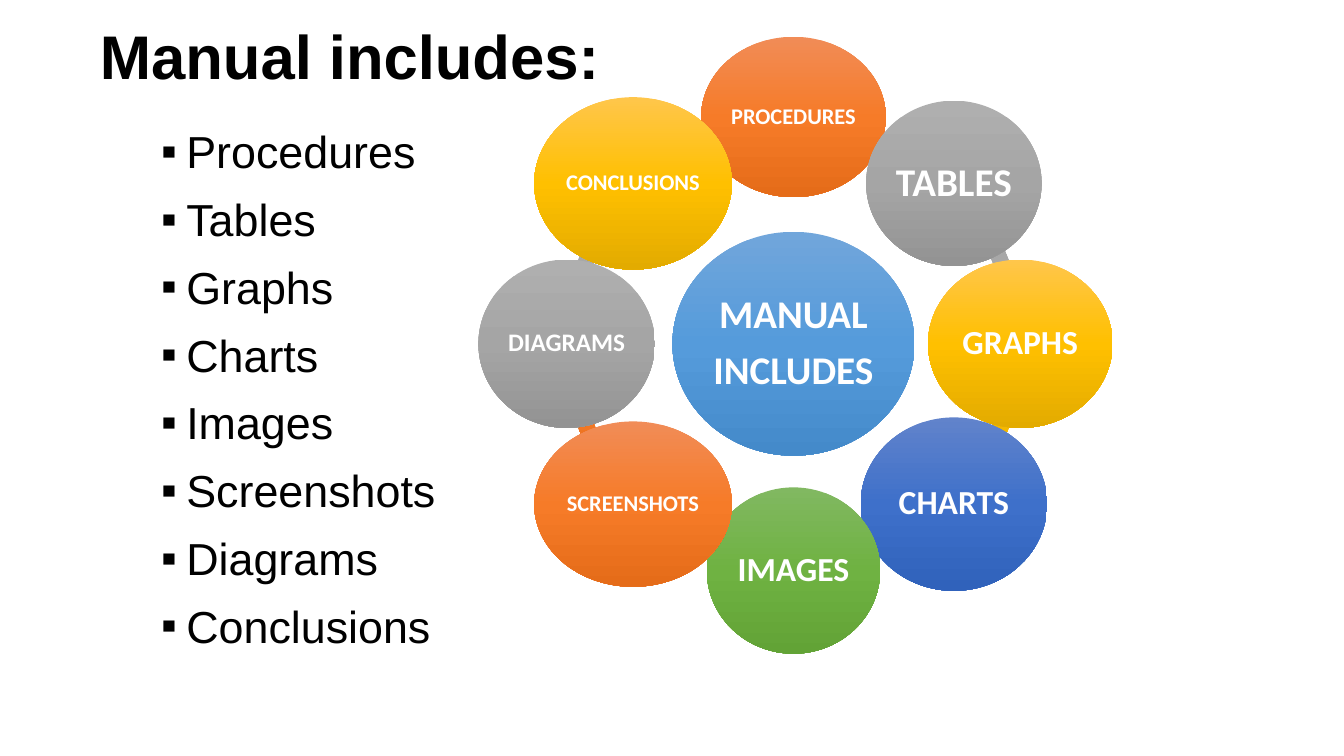
from copy import deepcopy
from dataclasses import dataclass
from math import cos, radians, sin

from lxml import etree
from pptx import Presentation
from pptx.dml.color import RGBColor
from pptx.enum.shapes import MSO_SHAPE
from pptx.enum.text import MSO_ANCHOR, PP_ALIGN
from pptx.oxml.ns import qn
from pptx.util import Inches, Pt

ELLIPSE, ARC = MSO_SHAPE.OVAL, MSO_SHAPE.BLOCK_ARC
TOP, MIDDLE = MSO_ANCHOR.TOP, MSO_ANCHOR.MIDDLE
LEFT, CENTER = PP_ALIGN.LEFT, PP_ALIGN.CENTER


@dataclass(frozen=True)
class Theme:
    text: str = "000000"
    label: str = "FFFFFF"
    sky: tuple = ("71A6DB", "559BDB", "448ACA")
    orange: tuple = ("F18C57", "F67B28", "E56C19")
    gray: tuple = ("AFAFAF", "A5A5A5", "939393")
    gold: tuple = ("FFC64B", "FFC000", "E3AB00")
    blue: tuple = ("6183CB", "3E70CA", "3062BB")
    green: tuple = ("81B861", "6FB242", "62A336")
    font: str = "Arial"
    label_font: str = "Calibri"
    title_size: int = 44
    body_size: int = 32
    hub_size: int = 28


THEME = Theme()
TOPICS = [
    ("Procedures", THEME.orange, 16, 1.83, 1.59),
    ("Tables", THEME.gray, 28, 1.74, 1.64),
    ("Graphs", THEME.gold, 24, 1.83, 1.67),
    ("Charts", THEME.blue, 24, 1.85, 1.72),
    ("Images", THEME.green, 24, 1.72, 1.65),
    ("Screenshots", THEME.orange, 16, 1.96, 1.64),
    ("Diagrams", THEME.gray, 18, 1.75, 1.67),
    ("Conclusions", THEME.gold, 16, 1.96, 1.71),
]


def style(p, font, size, color, bold=False):
    for r in p.runs:
        r.font.name = font
        r.font.size = Pt(size)
        r.font.bold = bold
        r.font.color.rgb = RGBColor.from_string(color)


def add_title(s, x, y, w, h):
    sp = s.shapes.title
    sp.left, sp.top, sp.width, sp.height = map(Inches, (x, y, w, h))
    tf = sp.text_frame
    tf.text = "Manual includes:"
    tf.word_wrap = True
    tf.vertical_anchor = TOP
    tf.margin_top = tf.margin_bottom = Inches(0.03)
    p = tf.paragraphs[0]
    p.alignment = LEFT
    p.line_spacing = 0.9
    style(p, THEME.font, THEME.title_size, THEME.text, True)


def add_topic_list(s, x, y, w, h):
    tf = s.shapes.add_textbox(*map(Inches, (x, y, w, h))).text_frame
    tf.word_wrap = True
    tf.text = "\n".join(topic[0] for topic in TOPICS)
    for i, p in enumerate(tf.paragraphs):
        pPr = p._p.get_or_add_pPr()
        pPr.set("marL", str(Inches(0.25)))
        pPr.set("indent", str(Inches(-0.25)))
        etree.SubElement(pPr, qn("a:buFont")).set("typeface", THEME.font)
        etree.SubElement(pPr, qn("a:buChar")).set("char", "▪")
        if i:
            p.space_before = Pt(10)
        style(p, THEME.font, THEME.body_size, THEME.text)


def add_graded(grp, kind, cx, cy, w, h, colors):
    sp = grp.shapes.add_shape(kind, *map(Inches, (cx - w / 2, cy - h / 2, w, h)))
    sp.shadow.inherit = False
    sp.line.fill.background()
    sp.fill.gradient()
    sp.fill.gradient_angle = 270
    stops = sp._element.spPr.find(qn("a:gradFill")).find(qn("a:gsLst"))
    stops.append(deepcopy(stops[-1]))
    for stop, position, color in zip(sp.fill.gradient_stops, (0, 0.5, 1), colors):
        stop.position = position
        stop.color.rgb = RGBColor.from_string(color)
    return sp


def add_bubble(grp, text, cx, cy, w, h, colors, size):
    tf = add_graded(grp, ELLIPSE, cx, cy, w, h, colors).text_frame
    tf.word_wrap = True
    tf.vertical_anchor = MIDDLE
    tf.margin_left = tf.margin_right = Inches(0.02)
    tf.margin_top = tf.margin_bottom = Inches(0.02)
    tf.text = text
    for i, p in enumerate(tf.paragraphs):
        p.alignment = CENTER
        p.line_spacing = 0.9
        if i:
            p.space_before = Pt(9.5)
        style(p, THEME.label_font, size, THEME.label, True)


def add_wheel(s, x, y, w, h):
    grp = s.shapes.add_group_shape()
    cx, cy = x + w / 2, y + h / 2
    radius = 2.25
    step = 360 / len(TOPICS)
    angles = [(270 + step * i) % 360 for i in range(len(TOPICS))]

    for (_, colors, *_), angle in reversed(list(zip(TOPICS, angles))):
        arc = add_graded(grp, ARC, cx, cy, w, h, colors)
        arc.adjustments[0] = angle * 0.6
        arc.adjustments[1] = (angle + step) % 360 * 0.6
        arc.adjustments[2] = 0.034

    add_bubble(grp, "MANUAL\nINCLUDES", cx, cy, 2.4, 2.22, THEME.sky, THEME.hub_size)
    for (name, colors, size, bw, bh), angle in zip(TOPICS, angles):
        bx = cx + radius * cos(radians(angle))
        by = cy + radius * sin(radians(angle))
        add_bubble(grp, name.upper(), bx, by, bw, bh, colors, size)


def main():
    prs = Presentation()
    prs.slide_width, prs.slide_height = Inches(13.33), Inches(7.5)
    s = prs.slides.add_slide(prs.slide_layouts[5])
    add_title(s, 0.89, 0.23, 5.4, 0.72)
    add_topic_list(s, 1.5, 1.18, 3.2, 5.5)
    add_wheel(s, 5.58, 1.12, 4.58, 4.58)
    prs.save("out.pptx")


if __name__ == "__main__":
    main()
